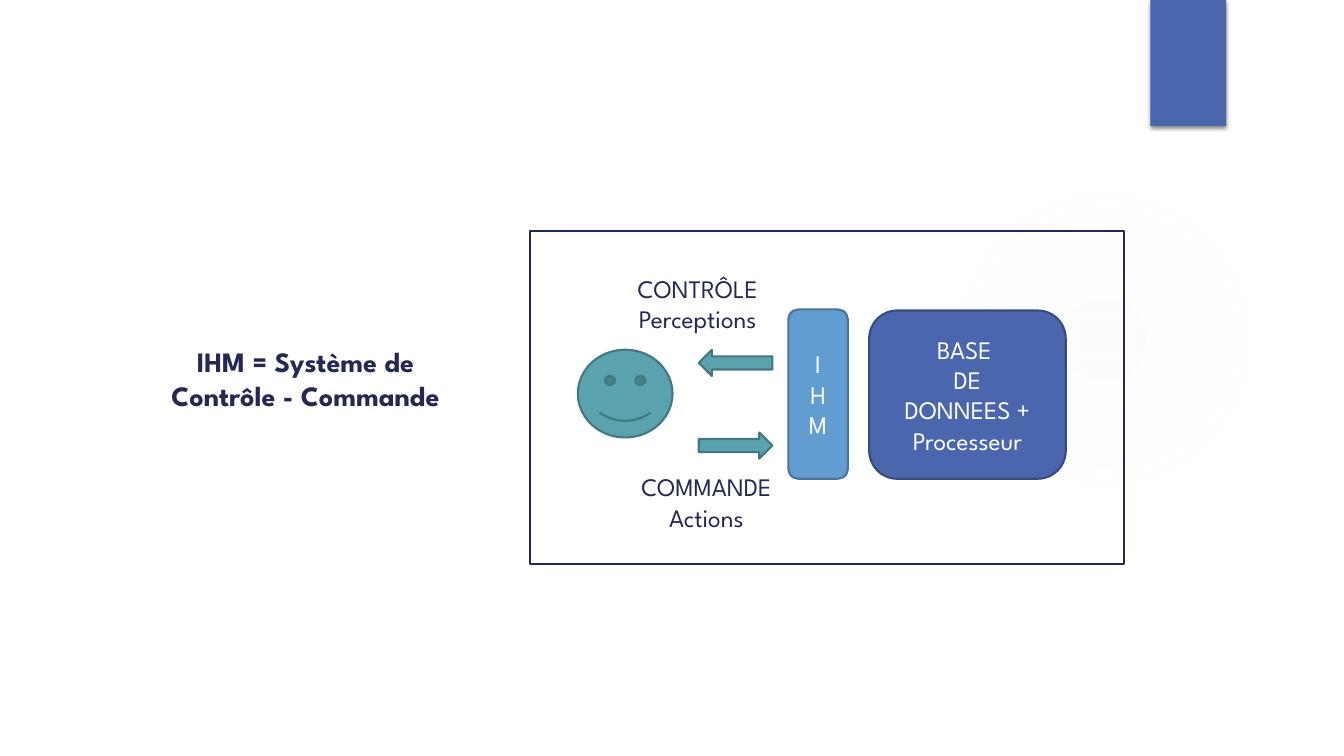
"""Build the slide that shows an IHM as a control and command system."""
from lxml import etree
from pptx import Presentation
from pptx.dml.color import RGBColor
from pptx.enum.shapes import MSO_SHAPE
from pptx.enum.text import MSO_ANCHOR, PP_ALIGN
from pptx.oxml import parse_xml
from pptx.util import Inches, Pt

OVAL, RECT, ROUND = MSO_SHAPE.OVAL, MSO_SHAPE.RECTANGLE, MSO_SHAPE.ROUNDED_RECTANGLE
FACE, ARROW = MSO_SHAPE.SMILEY_FACE, MSO_SHAPE.RIGHT_ARROW
MIDDLE, TOP, CENTER = MSO_ANCHOR.MIDDLE, MSO_ANCHOR.TOP, PP_ALIGN.CENTER
NAVY = RGBColor(0x24, 0x28, 0x52)
BLUE = RGBColor(0x4A, 0x66, 0xAC)
DEEP = RGBColor(0x37, 0x4B, 0x7F)
SKY = RGBColor(0x62, 0x9D, 0xD1)
STEEL = RGBColor(0x49, 0x74, 0x9B)
TEAL = RGBColor(0x5A, 0xA2, 0xAE)
PINE = RGBColor(0x43, 0x78, 0x81)
WHITE = RGBColor(0xFF, 0xFF, 0xFF)
FONT = "League Spartan"
NS = 'xmlns:a="http://schemas.openxmlformats.org/drawingml/2006/main"'

WIDE, HIGH = Inches(13.33), Inches(7.5)
TITLE = "IHM = Système de Contrôle - Commande"
TITLE_BOX = (10.28, 44.93, 24.91, 10.27)
GLOW_BOX = (70.59, 24.4, 23.11, 41.07)
GLOW_STOPS = [(0, 7), (36, 6), (69, 0)]
TAB_BOX = (85.6, 0, 5.63, 16.67)
PARTS = [
    (ROUND, (58.66, 40.93, 4.43, 22.4), SKY, STEEL, 0, ["I", "HM"]),
    (ROUND, (64.67, 41.07, 14.63, 22.27), BLUE, DEEP, 0,
     ["BASE ", "DE", "DONNEES +", "Processeur"]),
    (FACE, (42.99, 46.27, 7.05, 11.6), TEAL, PINE, 0, []),
    (ARROW, (51.99, 46.27, 5.48, 3.47), TEAL, PINE, 180, []),
    (ARROW, (51.99, 57.2, 5.48, 3.47), TEAL, PINE, 0, []),
]
LABELS = [
    ((45.76, 35.47, 12.3, 9.47), ["CONTRÔLE", "Perceptions"]),
    ((45.84, 61.73, 13.43, 9.47), ["COMMANDE", "Actions"]),
]
FRAME_BOX = (39.46, 30.53, 44.19, 44.13)


def place(box):
    """Turn percent shares of the slide into lengths."""
    return [int(share * side / 100) for share, side in zip(box, (WIDE, HIGH) * 2)]


def write(frame, lines, color, size=18, bold=False, anchor=TOP):
    """Fill a text frame with centred lines."""
    frame.text = "\n".join(lines)
    frame.vertical_anchor = anchor
    for para in frame.paragraphs:
        para.alignment = CENTER
        for run in para.runs:
            font = run.font
            font.name, font.size, font.bold = FONT, Pt(size), bold
            font.color.rgb = color


def draw(shapes, kind, box, fill=None, line=None):
    """Add a flat shape with an optional fill and outline."""
    shape = shapes.add_shape(kind, *place(box))
    shape.shadow.inherit = False
    if fill is None:
        shape.fill.background()
    else:
        shape.fill.solid()
        shape.fill.fore_color.rgb = fill
    if line is None:
        shape.line.fill.background()
    else:
        shape.line.color.rgb = line
        shape.line.width = Pt(1.5)
    return shape


def add_glow(shapes):
    """Add the faint round glow."""
    props = draw(shapes, OVAL, GLOW_BOX)._element.spPr
    stops = "".join(
        f'<a:gs pos="{pos * 1000}"><a:srgbClr val="DEEAFD">'
        f'<a:alpha val="{alpha * 1000}"/></a:srgbClr></a:gs>'
        for pos, alpha in GLOW_STOPS)
    fill = parse_xml(
        f'<a:gradFill {NS}><a:gsLst>{stops}</a:gsLst><a:path path="circle">'
        '<a:fillToRect l="50000" t="50000" r="50000" b="50000"/></a:path></a:gradFill>')
    props.replace(props.find("{*}noFill"), fill)


def add_tab(shapes):
    """Add the blue corner tab with its soft shadow."""
    props = draw(shapes, RECT, TAB_BOX, BLUE)._element.spPr
    shade = etree.SubElement(
        props.find("{*}effectLst"),
        "{http://schemas.openxmlformats.org/drawingml/2006/main}outerShdw",
        blurRad=str(Pt(3)), dist=str(Pt(2)), dir="5400000", rotWithShape="0")
    shade.append(parse_xml(
        f'<a:srgbClr {NS} val="000000"><a:alpha val="45000"/></a:srgbClr>'))


def main():
    """Compose and save the slide."""
    deck = Presentation()
    deck.slide_width, deck.slide_height = WIDE, HIGH
    slide = deck.slides.add_slide(deck.slide_layouts[5])
    add_glow(slide.shapes)
    add_tab(slide.shapes)

    group = slide.shapes.add_group_shape().shapes
    for kind, box, fill, line, turn, lines in PARTS:
        shape = draw(group, kind, box, fill, line)
        shape.rotation = turn
        if lines:
            write(shape.text_frame, lines, WHITE, anchor=MIDDLE)
    for box, lines in LABELS:
        label = group.add_textbox(*place(box))
        label.text_frame.word_wrap = False
        write(label.text_frame, lines, NAVY)
    draw(group, RECT, FRAME_BOX, line=NAVY)

    title = slide.shapes.title
    title.left, title.top, title.width, title.height = place(TITLE_BOX)
    title.text_frame.word_wrap = True
    write(title.text_frame, [TITLE], NAVY, 20, True)
    deck.save("out.pptx")


if __name__ == "__main__":
    main()
